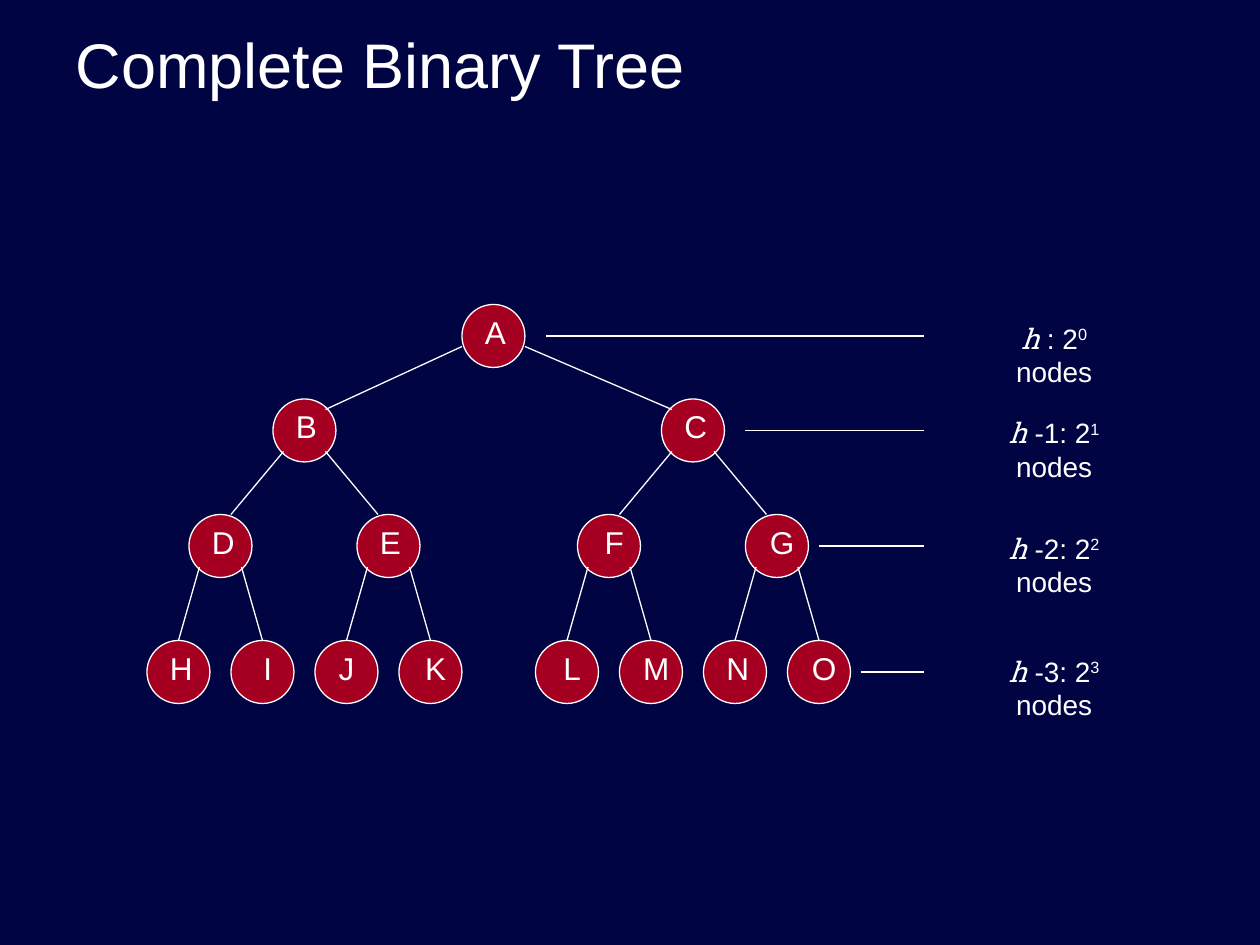
from lxml import etree
from pptx import Presentation
from pptx.dml.color import RGBColor
from pptx.enum.shapes import MSO_CONNECTOR, MSO_SHAPE
from pptx.enum.text import MSO_ANCHOR, PP_ALIGN
from pptx.oxml.ns import qn
from pptx.util import Inches, Pt

LINE, OVAL = MSO_CONNECTOR.STRAIGHT, MSO_SHAPE.OVAL
LEFT, CENTER, MIDDLE = PP_ALIGN.LEFT, PP_ALIGN.CENTER, MSO_ANCHOR.MIDDLE
COLORS = {"back": "010442", "node": "A50021", "ink": "FFFFFF"}

TITLE = "Complete Binary Tree"
# Grid steps of 1/12 inch. Each level: top, node letters, node lefts,
# gap before its leader line, label top, label text after "h".
LEVELS = [
    (29, "A", [44], 8, 30, " : 2"),
    (38, "BC", [26, 63], 8, 39, " -1: 2"),
    (49, "DEFG", [18, 34, 55, 71], 7, 50, " -2: 2"),
    (61, "HIJKLMNO", [14, 22, 30, 38, 51, 59, 67, 75], 7, 61.7, " -3: 2"),
]
# Left edge below each level: parent x, y and child x, y inside the node.
EDGES = [(0, 4, 5, 1), (1, 5, 4, 0), (1, 5, 3, 0)]
SIZE = 6
STOP = 88
LABEL = (92.6, 15.6, 4.4)  # left, width, height
# Letter boxes: offset in the node and width
SLOTS = {letter: (1, 5) for letter in "FGIKLMO"} | {"J": (0, 6)}
SLOT = (1, 4)


def grid(*steps):
    return [Inches(step / 12) for step in steps]


def color(name):
    return RGBColor.from_string(COLORS[name])


def style(font, size, face="Arial"):
    font.size, font.name = Pt(size), face
    font.color.rgb = color("ink")


def add_line(slide, *ends):
    line = slide.shapes.add_connector(LINE, *grid(*ends))
    line.line.color.rgb = color("ink")
    line.line.width = Pt(0.75)
    etree.SubElement(line._element.spPr, qn("a:effectLst"))


def add_text(slide, *box):
    """Add a wrapping text box and return its centred paragraph."""
    frame = slide.shapes.add_textbox(*grid(*box)).text_frame
    frame.word_wrap = True
    para = frame.paragraphs[0]
    para.alignment = CENTER
    return para


def add_node(slide, letter, x, y):
    node = slide.shapes.add_shape(OVAL, *grid(x, y, SIZE, SIZE))
    node.shadow.inherit = False
    node.fill.solid()
    node.fill.fore_color.rgb = color("node")
    node.line.color.rgb = color("ink")
    node.line.width = Pt(0.75)
    shift, width = SLOTS.get(letter, SLOT)
    para = add_text(slide, x + shift, y + 0.2, width, 4.8)
    para.text = letter
    style(para.font, 18)


def add_label(slide, y, text, power):
    left, width, height = LABEL
    para = add_text(slide, left, y, width, height)
    for part in ("h", text, str(power), " nodes"):
        run = para.add_run()
        run.text = part
        style(run.font, 16, "Roboto Slab" if part == "h" else "Arial")
        run.font.italic = part == "h"
    para.runs[2].font._element.set("baseline", "30000")


def add_edges(slide, depth):
    """Join each node of a level to its two children."""
    top, _, lefts, *_ = LEVELS[depth]
    low, _, kids, *_ = LEVELS[depth + 1]
    px, py, cx, cy = EDGES[depth]
    for i, kid in enumerate(kids):
        right = i % 2
        start = SIZE - px if right else px
        end = SIZE - cx if right else cx
        add_line(slide, lefts[i // 2] + start, top + py, kid + end, low + cy)


def main():
    prs = Presentation()
    prs.slide_width, prs.slide_height = Inches(10), Inches(7.5)
    slide = prs.slides.add_slide(prs.slide_layouts[5])
    slide.background.fill.solid()
    slide.background.fill.fore_color.rgb = color("back")

    title = slide.shapes.title
    title.left, title.top, title.width, title.height = grid(6, 0, 108, 12)
    title.text_frame.text = TITLE
    title.text_frame.vertical_anchor = MIDDLE
    para = title.text_frame.paragraphs[0]
    para.alignment = LEFT
    style(para.font, 36)

    for power, (top, letters, lefts, gap, y, text) in enumerate(LEVELS):
        for letter, x in zip(letters, lefts):
            add_node(slide, letter, x, top)
        middle = top + SIZE / 2
        add_line(slide, lefts[-1] + gap, middle, STOP, middle)
        add_label(slide, y, text, power)
    for depth in range(len(EDGES)):
        add_edges(slide, depth)
    prs.save("out.pptx")


if __name__ == "__main__":
    main()
